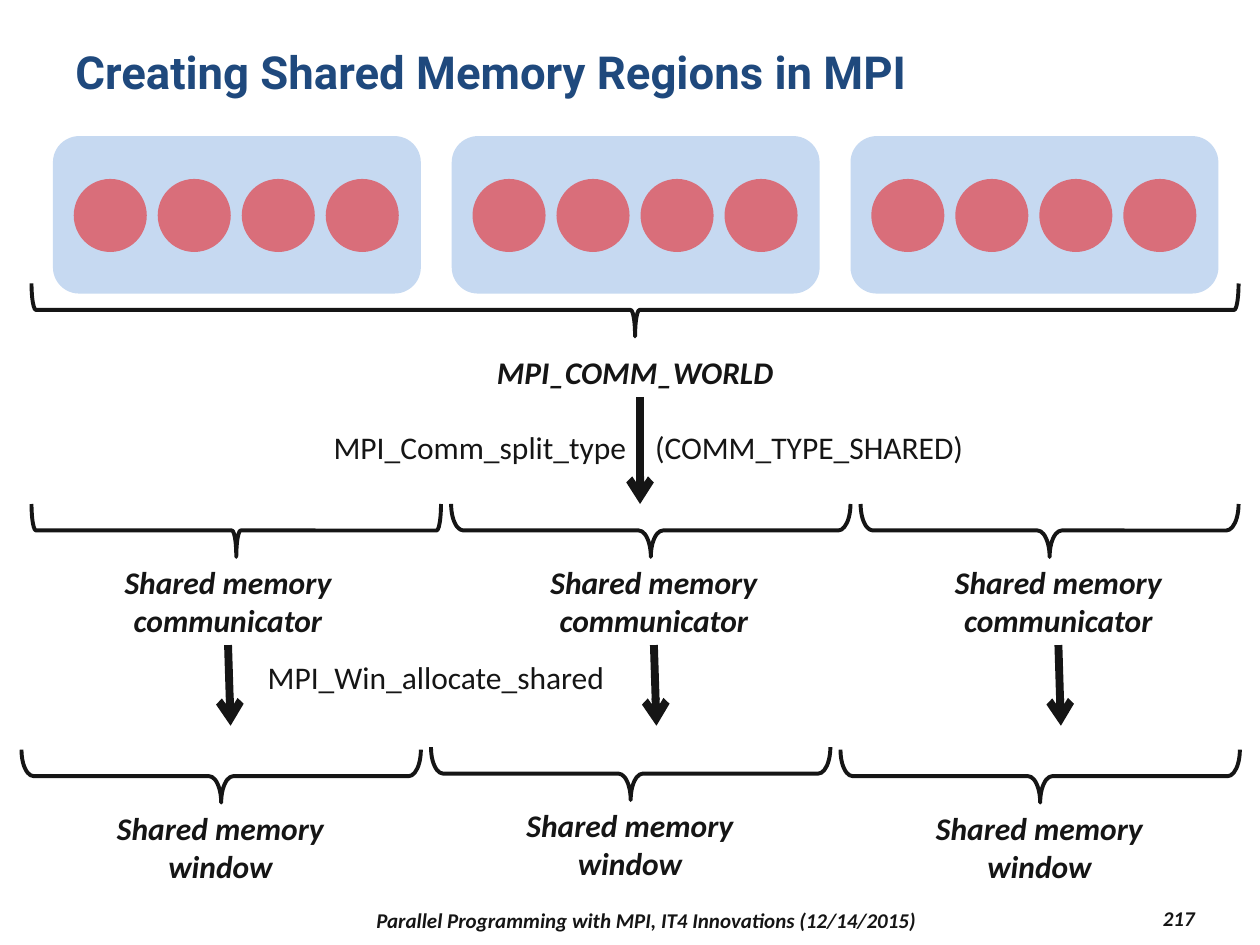
from lxml import etree
from pptx import Presentation
from pptx.dml.color import RGBColor
from pptx.enum import shapes, text
from pptx.oxml import ns
from pptx.util import Inches, Pt

COLORS = {
    "title": "1F497D",
    "ink": "151515",
    "node": "C6D9F1",
    "process": "D96E7A",
}
BRACE_DEPTH = 0.42
NODE_PITCH = 3.165
PROCESS_PITCH = 2 / 3


def color(name):
    return RGBColor.from_string(COLORS[name])


def add_text(slide, content, left, top, width, height, size=18, font="Calibri",
             fill="ink", bold=False, italic=False,
             align=text.PP_ALIGN.CENTER, anchor=text.MSO_ANCHOR.TOP):
    box = slide.shapes.add_textbox(Inches(left), Inches(top), Inches(width), Inches(height))
    frame = box.text_frame
    frame.word_wrap = True
    frame.vertical_anchor = anchor
    paragraph = frame.paragraphs[0]
    paragraph.alignment = align
    run = paragraph.add_run()
    run.text = content
    run.font.name = font
    run.font.size = Pt(size)
    run.font.bold = bold
    run.font.italic = italic
    run.font.color.rgb = color(fill)


def add_filled(slide, kind, fill, left, top, width, height):
    shape = slide.shapes.add_shape(kind, Inches(left), Inches(top), Inches(width), Inches(height))
    shape.shadow.inherit = False
    shape.fill.solid()
    shape.fill.fore_color.rgb = color(fill)
    shape.line.fill.background()


def add_node(slide, left):
    """A shared-memory node with its four processes."""
    add_filled(slide, shapes.MSO_SHAPE.ROUNDED_RECTANGLE, "node", left, 1.08, 2.92, 1.25)
    for process in range(4):
        add_filled(slide, shapes.MSO_SHAPE.OVAL, "process",
                   left + 0.165 + process * PROCESS_PITCH, 1.42, 0.58, 0.58)


def add_brace(slide, left, top, width, curve=0.23):
    """A brace opening upwards: a right brace turned about its centre."""
    brace = slide.shapes.add_shape(
        shapes.MSO_SHAPE.RIGHT_BRACE,
        Inches(left + (width - BRACE_DEPTH) / 2), Inches(top + (BRACE_DEPTH - width) / 2),
        Inches(BRACE_DEPTH), Inches(width))
    brace.rotation = 90
    brace.adjustments[0] = curve
    brace.shadow.inherit = False
    brace.fill.background()
    brace.line.color.rgb = color("ink")
    brace.line.width = Pt(2.25)


def add_arrow(slide, x1, y1, x2, y2):
    arrow = slide.shapes.add_connector(
        shapes.MSO_CONNECTOR.STRAIGHT, Inches(x1), Inches(y1), Inches(x2), Inches(y2))
    arrow.line.color.rgb = color("ink")
    arrow.line.width = Pt(4.5)
    etree.SubElement(arrow.line._get_or_add_ln(), ns.qn("a:tailEnd"), type="arrow")
    etree.SubElement(arrow._element.spPr, ns.qn("a:effectLst"))


def main():
    deck = Presentation()
    deck.slide_width, deck.slide_height = Inches(10), Inches(7.5)
    slide = deck.slides.add_slide(deck.slide_layouts[6])
    emphasis = {"bold": True, "italic": True}
    left, right = text.PP_ALIGN.LEFT, text.PP_ALIGN.RIGHT

    # Title
    add_text(slide, "Creating Shared Memory Regions in MPI", 0.5, 0.3, 9, 0.87,
             size=26, font="Roboto", fill="title", bold=True, align=left)

    # Nodes joined in the world communicator
    for node in range(3):
        add_node(slide, 0.42 + node * NODE_PITCH)
    add_brace(slide, 0.25, 2.25, 9.58, curve=0.083)
    add_text(slide, "MPI_COMM_WORLD", 3.5, 2.75, 3.08, 0.4, **emphasis)

    # Split by shared memory
    add_arrow(slide, 5.08, 3.15, 5.08, 4)
    add_text(slide, "MPI_Comm_split_type", 2.33, 3.35, 2.74, 0.4, align=right)
    add_text(slide, "(COMM_TYPE_SHARED)", 5.1, 3.35, 2.85, 0.4, align=left)

    # Communicators: brace left, brace width, curve, label left
    for brace_left, width, curve, label_left in (
            (0.25, 3.25, 0.083, 0.83), (3.58, 3.17, 0.23, 4.21), (6.83, 3, 0.23, 7.42)):
        add_brace(slide, brace_left, 4, width, curve)
        add_text(slide, "Shared memory communicator", label_left, 4.42, 1.96, 0.71, **emphasis)
        add_arrow(slide, label_left + 0.98, 5.12, label_left + 1, 5.76)
    add_text(slide, "MPI_Win_allocate_shared", 1.92, 5.17, 3.08, 0.4)

    # Windows: brace left, brace top
    for brace_left, brace_top in ((0.17, 5.95), (3.42, 5.93), (6.67, 5.95)):
        add_brace(slide, brace_left, brace_top, 3.17)
        add_text(slide, "Shared memory window", brace_left + 0.58, brace_top + 0.42,
                 2, 0.71, **emphasis)

    # Footer and page number
    middle = text.MSO_ANCHOR.MIDDLE
    add_text(slide, "Parallel Programming with MPI, IT4 Innovations (12/14/2015)",
             2.17, 7.17, 5.92, 0.27, size=12, anchor=middle, **emphasis)
    add_text(slide, "217", 8.5, 7.15, 1.08, 0.27, size=12, align=right, anchor=middle, **emphasis)

    deck.save("out.pptx")


if __name__ == "__main__":
    main()
